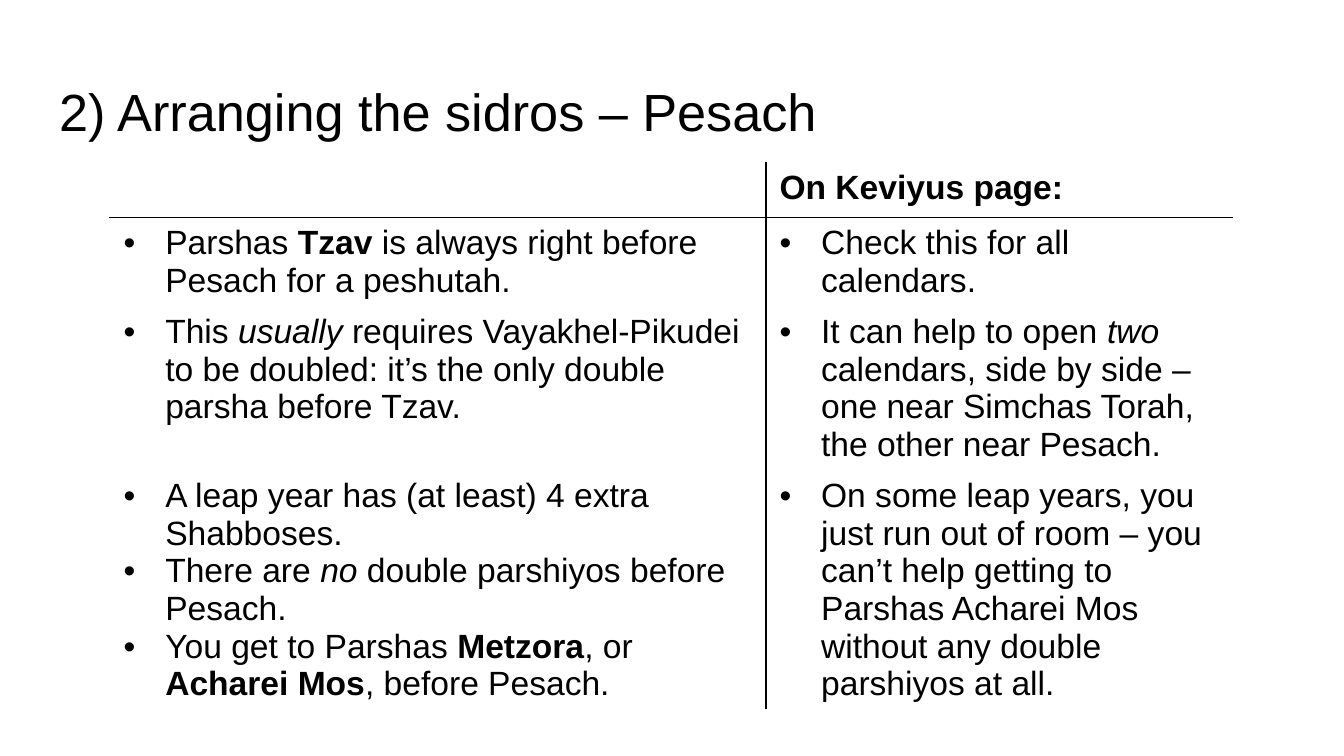
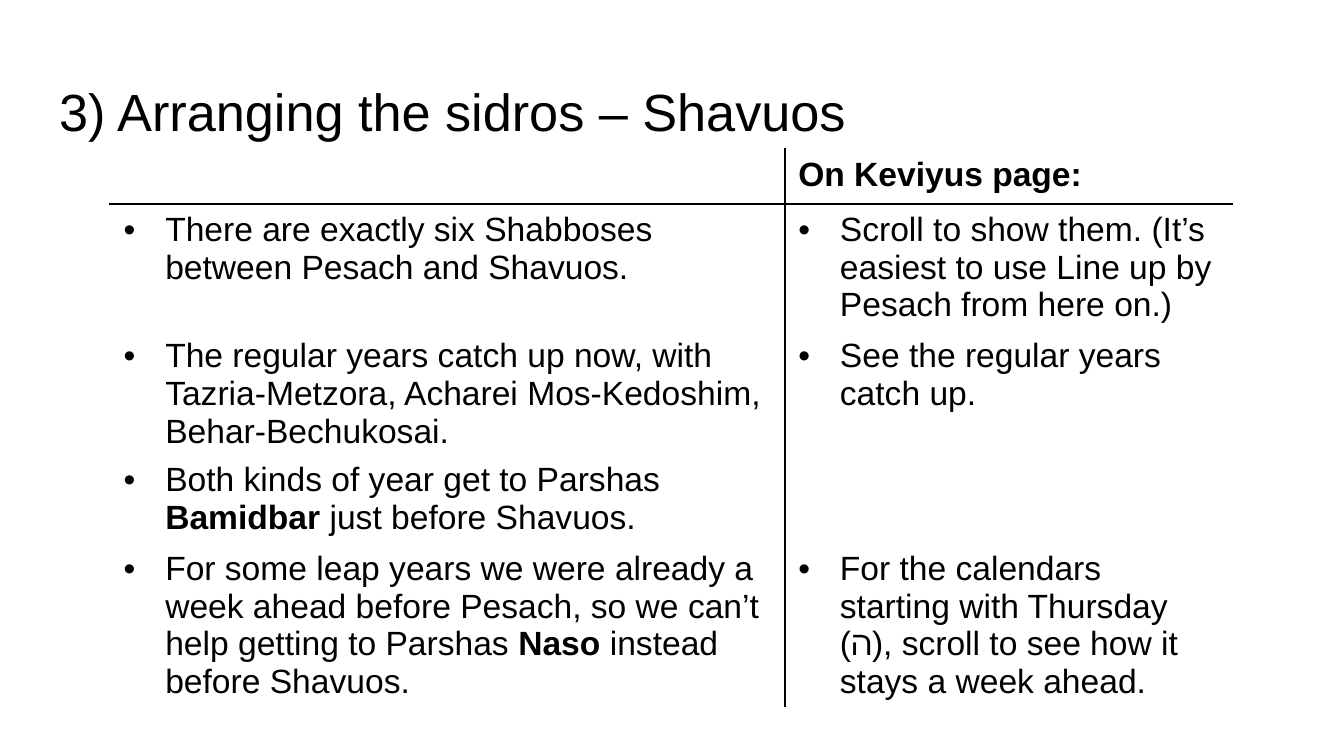
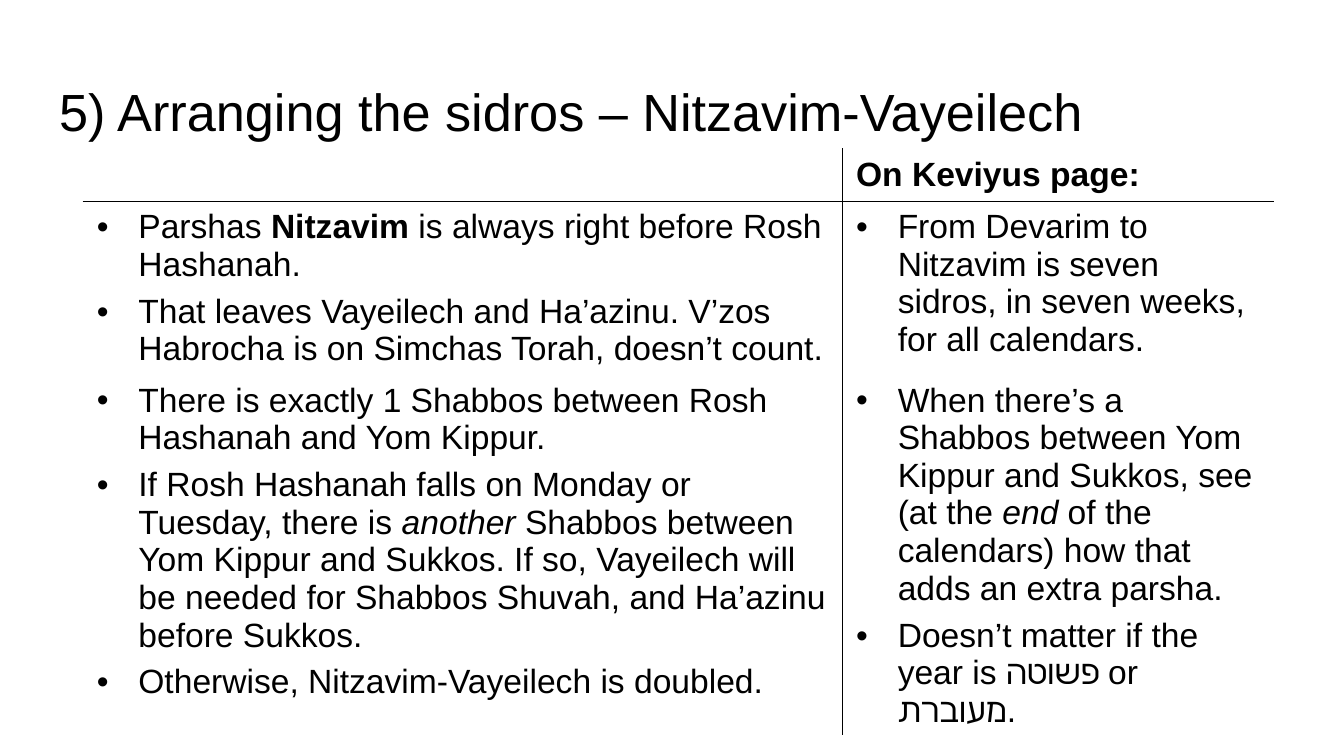
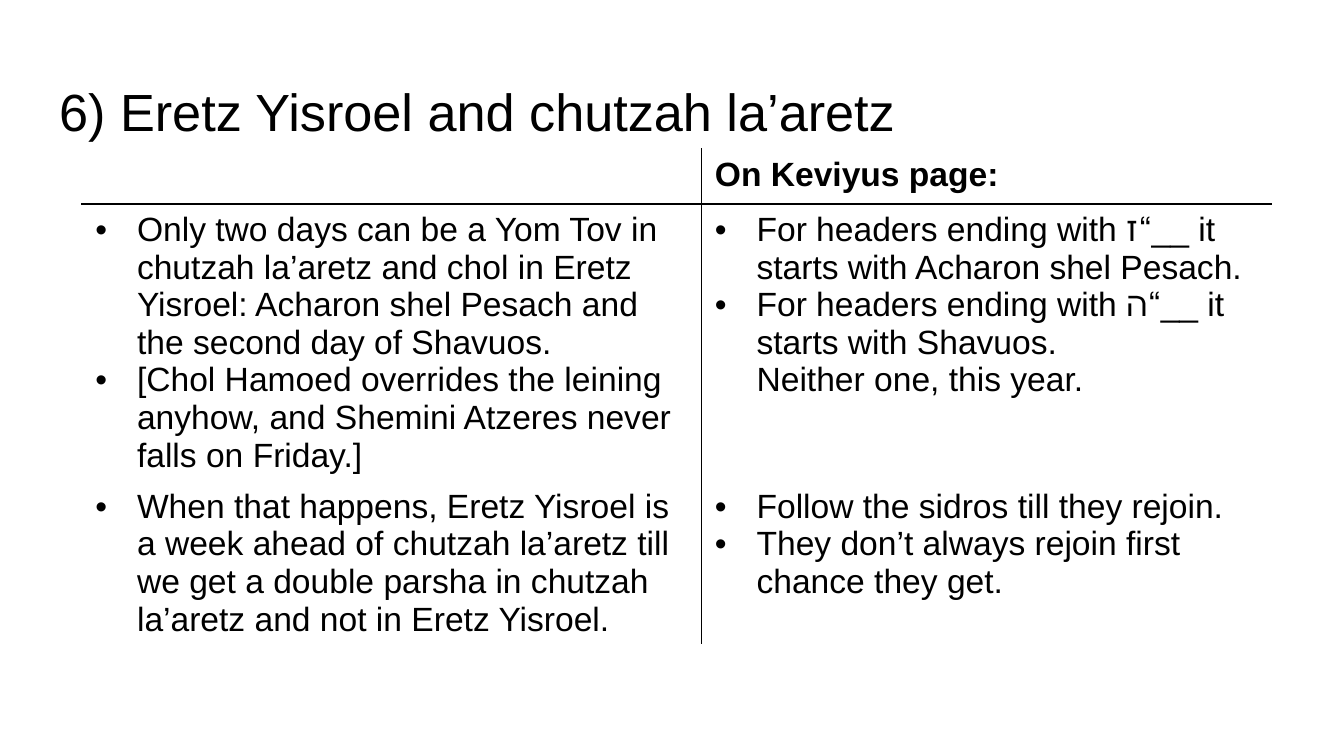
from lxml.etree import SubElement
from pptx import Presentation
from pptx.dml.color import RGBColor
from pptx.enum.text import MSO_ANCHOR, MSO_AUTO_SIZE, PP_ALIGN
from pptx.oxml.ns import qn
from pptx.util import Inches, Pt

BLACK = RGBColor(0x00, 0x00, 0x00)
WHITE = RGBColor(0xFF, 0xFF, 0xFF)
FONT = "Arial"
TITLE_SIZE = 28
BODY_SIZE = 18
INDENT = Inches(0.31)
SLIDE_WIDTH = Inches(10)
SLIDE_HEIGHT = SLIDE_WIDTH * 9 // 16
TITLE_ONLY = 5
HEADING = "On Keviyus page:"


class Deck:
    """Holds the shared style and the current slide."""

    def __init__(self):
        self.presentation = Presentation()
        self.presentation.slide_width = SLIDE_WIDTH
        self.presentation.slide_height = SLIDE_HEIGHT
        self.slide = None

    def format_run(self, run, size, bold=False, italic=False):
        run.font.size = Pt(size)
        run.font.name = FONT
        run.font.color.rgb = BLACK
        run.font.bold = bold
        run.font.italic = italic

    def add_slide(self, title):
        layout = self.presentation.slide_layouts[TITLE_ONLY]
        self.slide = self.presentation.slides.add_slide(layout)
        shape = self.slide.shapes.title
        shape.left, shape.top = Inches(0.34), Inches(0.49)
        shape.width, shape.height = Inches(9.32), Inches(0.63)
        text_frame = shape.text_frame
        text_frame.text = title
        text_frame.auto_size = MSO_AUTO_SIZE.NONE
        text_frame.vertical_anchor = MSO_ANCHOR.TOP
        text_frame.margin_left = text_frame.margin_right = Inches(0.1)
        text_frame.margin_top = text_frame.margin_bottom = Inches(0.1)
        paragraph = text_frame.paragraphs[0]
        paragraph.alignment = PP_ALIGN.LEFT
        self.format_run(paragraph.runs[0], TITLE_SIZE)

    def add_bullet(self, paragraph, text, space_before):
        """Bars split the text: '*' opens a bold part, '/' an italic one, a newline breaks."""
        paragraph.space_before = Pt(space_before)
        properties = paragraph._p.get_or_add_pPr()
        properties.set("marL", str(INDENT))
        properties.set("indent", str(-INDENT))
        color = SubElement(properties, qn("a:buClr"))
        SubElement(color, qn("a:srgbClr"), val=str(BLACK))
        SubElement(properties, qn("a:buFont"), typeface=FONT)
        SubElement(properties, qn("a:buChar"), char="•")
        for part in text.split("|"):
            if part.startswith("\n"):
                paragraph.add_line_break()
            run = paragraph.add_run()
            run.text = part.lstrip("*/\n")
            self.format_run(run, BODY_SIZE, part.startswith("*"), part.startswith("/"))

    def set_borders(self, cell, row, column, last_row):
        """Rules the heading and the column gap, and leaves body rows undivided."""
        colors = {
            "a:lnL": BLACK if column == 1 else WHITE,
            "a:lnR": BLACK if column == 0 else WHITE,
            "a:lnT": {0: WHITE, 1: BLACK}.get(row),
            "a:lnB": {0: BLACK, last_row: WHITE}.get(row),
        }
        properties = cell._tc.get_or_add_tcPr()
        for tag, color in colors.items():
            line = SubElement(properties, qn(tag), w=str(Pt(1)))
            if color is None:
                SubElement(line, qn("a:noFill"))
            else:
                fill = SubElement(line, qn("a:solidFill"))
                SubElement(fill, qn("a:srgbClr"), val=str(color))

    def add_table(self, left, top, widths, heights, frame_height, rows, space_before=0):
        frame = self.slide.shapes.add_table(
            len(heights), 2, Inches(left), Inches(top),
            Inches(sum(widths)), Inches(frame_height))
        table = frame.table
        table.first_row = table.horz_banding = False
        for column, width in zip(table.columns, widths):
            column.width = Inches(width)
        for row, height in zip(table.rows, heights):
            row.height = Inches(height)
        frame.height = Inches(frame_height)

        # Heading row, with the empty cell at the same text size
        empty = table.cell(0, 0).text_frame.paragraphs[0]
        end = SubElement(empty._p, qn("a:endParaRPr"), sz=str(BODY_SIZE * 100))
        SubElement(end, qn("a:latin"), typeface=FONT)
        heading = table.cell(0, 1).text_frame.paragraphs[0]
        heading.text = HEADING
        self.format_run(heading.runs[0], BODY_SIZE, bold=True)

        # Bulleted rows
        for row_number, row in enumerate(rows, 1):
            for column_number, bullets in enumerate(row):
                text_frame = table.cell(row_number, column_number).text_frame
                for number, text in enumerate(bullets):
                    paragraph = text_frame.add_paragraph() if number else text_frame.paragraphs[0]
                    self.add_bullet(paragraph, text, space_before if number else 0)

        # Ruled lines and fills
        for row_number in range(len(heights)):
            for column_number in range(2):
                cell = table.cell(row_number, column_number)
                self.set_borders(cell, row_number, column_number, len(rows))
                cell.fill.solid()
                cell.fill.fore_color.rgb = WHITE


def main():
    deck = Deck()

    # Pesach
    deck.add_slide("2) Arranging the sidros – Pesach")
    deck.add_table(0.82, 1.21, [4.88, 3.47], [0.41] * 4, 4.31, [
        (["Parshas |*Tzav| is always right before Pesach for a peshutah."],
         ["Check this for all calendars."]),
        (["This |/usually| requires Vayakhel-Pikudei to be doubled: "
          "it’s the only double parsha before Tzav."],
         ["It can help to open |/two| calendars, side by side – "
          "one near Simchas Torah, the other near Pesach."]),
        (["A leap year has (at least) 4 extra Shabboses.",
          "There are |/no| double parshiyos before Pesach.",
          "You get to Parshas |*Metzora|, or |*Acharei Mos|, before Pesach."],
         ["On some leap years, you just run out of room – you can’t help getting to "
          "Parshas Acharei Mos without any double parshiyos at all."]),
    ])

    # Shavuos
    deck.add_slide("3) Arranging the sidros – Shavuos")
    deck.add_table(0.82, 1.11, [5.02, 3.33], [0.41] * 4, 4.39, [
        (["There are exactly six Shabboses between Pesach and Shavuos."],
         ["Scroll to show them. (It’s easiest to use Line up by Pesach from here on.)"]),
        (["The regular years catch up now, with Tazria-Metzora, "
          "Acharei Mos-Kedoshim, Behar-Bechukosai.",
          "Both kinds of year get to Parshas |*Bamidbar| just before Shavuos."],
         ["See the regular years catch up."]),
        (["For some leap years we were already a week ahead before Pesach, so we can’t "
          "help getting to Parshas |*Naso| instead before Shavuos."],
         ["For the calendars starting with Thursday (ה), "
          "scroll to see how it stays a week ahead."]),
    ], space_before=6)

    # Nitzavim-Vayeilech
    deck.add_slide("5) Arranging the sidros – Nitzavim-Vayeilech")
    deck.add_table(0.62, 1.11, [5.65, 3.2], [0.39, 1.27, 2.63], 4.41, [
        (["Parshas |*Nitzavim| is always right before Rosh Hashanah.",
          "That leaves Vayeilech and Ha’azinu. "
          "V’zos Habrocha is on Simchas Torah, doesn’t count."],
         ["From Devarim to Nitzavim is seven sidros, in seven weeks, for all calendars."]),
        (["There is exactly 1 Shabbos between Rosh Hashanah and Yom Kippur.",
          "If Rosh Hashanah falls on Monday or Tuesday, there is |/another| Shabbos "
          "between Yom Kippur and Sukkos. If so, Vayeilech will be needed for "
          "Shabbos Shuvah, and Ha’azinu before Sukkos.",
          "Otherwise, Nitzavim-Vayeilech is doubled."],
         ["When there’s a Shabbos between Yom Kippur and Sukkos, see (at the |/end| "
          "of the calendars) how that adds an extra parsha.",
          "Doesn’t matter if the year is פשוטה or מעוברת."]),
    ], space_before=5)

    # Eretz Yisroel and chutzah la’aretz
    deck.add_slide("6) Eretz Yisroel and chutzah la’aretz")
    deck.add_table(0.61, 1.11, [4.61, 4.24], [0.41] * 3, 3.91, [
        (["Only two days can be a Yom Tov in chutzah la’aretz and chol in Eretz Yisroel: "
          "Acharon shel Pesach and the second day of Shavuos.",
          "[Chol Hamoed overrides the leining anyhow, "
          "and Shemini Atzeres never falls on Friday.]"],
         ["For headers ending with ז“__ it starts with Acharon shel Pesach.",
          "For headers ending with ה“__ it starts with Shavuos. |\nNeither one, this year."]),
        (["When that happens, Eretz Yisroel is a week ahead of chutzah la’aretz till we "
          "get a double parsha in chutzah la’aretz and not in Eretz Yisroel."],
         ["Follow the sidros till they rejoin.",
          "They don’t always rejoin first chance they get."]),
    ])

    deck.presentation.save("out.pptx")


if __name__ == "__main__":
    main()
